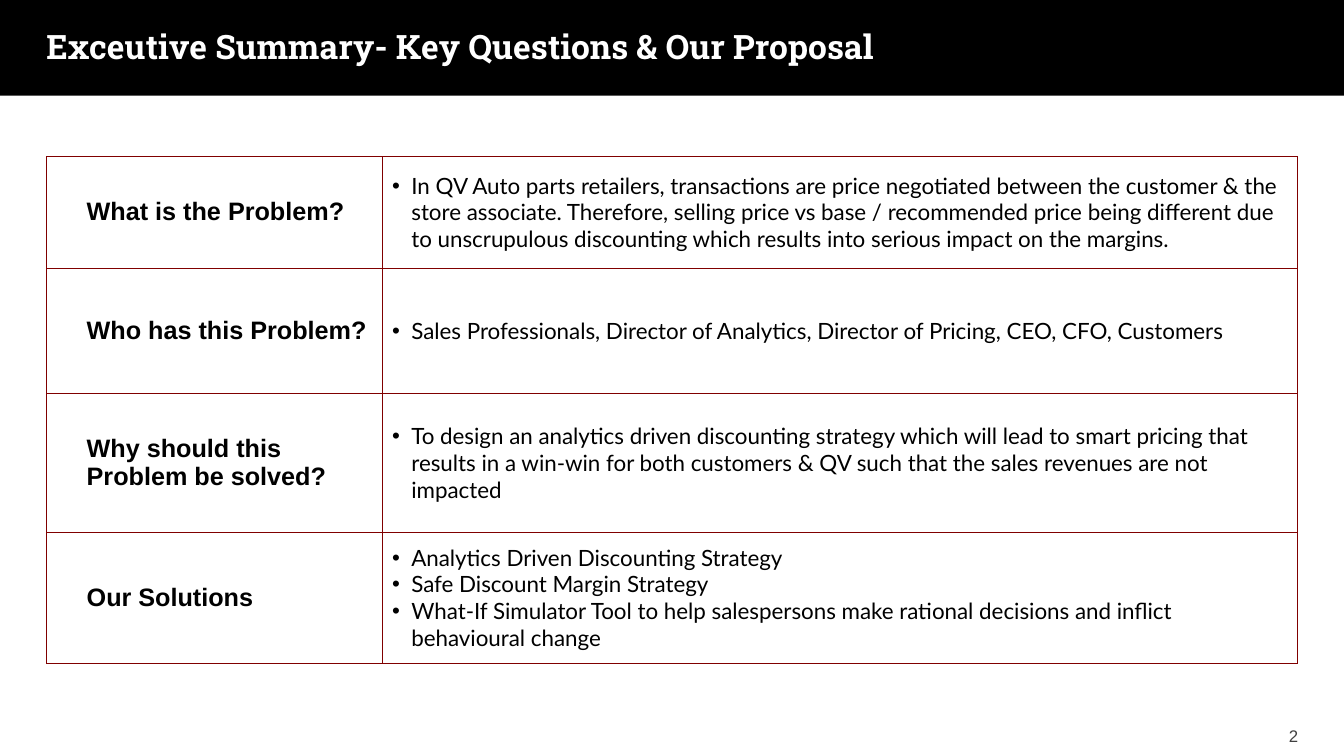
from pptx import Presentation
from pptx import util as u
from pptx.dml.color import RGBColor
from pptx.enum import shapes, text
from pptx.oxml import ns
from lxml import etree

ROWS = [
    (1.11, "What is the Problem?", [
        "In QV Auto parts retailers, transactions are price negotiated between the customer & the "
        "store associate. Therefore, selling price vs base / recommended price being different due "
        "to unscrupulous discounting which results into serious impact on the margins."]),
    (1.24, "Who has this Problem?", [
        "Sales Professionals, Director of Analytics, Director of Pricing, CEO, CFO, Customers"]),
    (1.38, "Why should this Problem be solved?", [
        "To design an analytics driven discounting strategy which will lead to smart pricing that "
        "results in a win-win for both customers & QV such that the sales revenues are not impacted"]),
    (1.3, "Our Solutions", [
        "Analytics Driven Discounting Strategy",
        "Safe Discount Margin Strategy",
        "What-If Simulator Tool to help salespersons make rational decisions and inflict "
        "behavioural change"]),
]


def color(value):
    """Turn a hex string into a colour."""
    return RGBColor.from_string(value)


def child(parent, tag, **attributes):
    """Append a drawing element to its parent."""
    return etree.SubElement(parent, ns.qn(tag), attributes)


def write(para, words, font="Arial", size=18, ink="000000", bold=False,
          align=text.PP_ALIGN.LEFT, indent=0, hanging=0, bullet=None):
    """Write words into a paragraph with the given format."""
    para.alignment = align
    properties = para._p.get_or_add_pPr()
    properties.set("marL", str(u.Inches(indent)))
    properties.set("indent", str(-u.Inches(hanging)))
    if bullet:
        child(properties, "a:buFont", typeface="Arial")
        child(properties, "a:buChar", char=bullet)
    else:
        child(properties, "a:buNone")
    span = para.add_run()
    span.text = words
    span.font.name = font
    span.font.size = u.Pt(size)
    span.font.bold = bold
    span.font.color.rgb = color(ink)


class SummarySlide:
    """Hold the style and the current slide."""

    black, white, rule, muted = "000000", "FFFFFF", "800000", "404040"
    heading, body = "Roboto Slab", "Lato"

    def __init__(self, deck):
        """Add a blank slide with a white background."""
        self.page = deck.slides.add_slide(deck.slide_layouts[6])
        self.page.background.fill.solid()
        self.page.background.fill.fore_color.rgb = color(self.white)

    def title_bar(self, words, left, top, width, height):
        """Draw the dark bar that carries the title."""
        bar = self.page.shapes.add_shape(
            shapes.MSO_SHAPE.RECTANGLE, *map(u.Inches, (left, top, width, height)))
        bar.shadow.inherit = False
        bar.fill.solid()
        bar.fill.fore_color.rgb = color(self.black)
        bar.line.fill.background()
        frame = bar.text_frame
        frame.word_wrap = True
        frame.vertical_anchor = text.MSO_ANCHOR.MIDDLE
        frame.margin_left = frame.margin_right = frame.margin_top = frame.margin_bottom = 0
        write(frame.paragraphs[0], words, font=self.heading, size=24,
              ink=self.white, bold=True, indent=0.5)

    def style_cell(self, cell):
        """Give a cell its borders, margins and anchor."""
        properties = cell._tc.get_or_add_tcPr()
        for side in ("a:lnL", "a:lnR", "a:lnT", "a:lnB"):
            border = child(properties, side, w=str(u.Pt(0.25)))
            child(child(border, "a:solidFill"), "a:srgbClr", val=self.rule)
        cell.fill.background()
        cell.vertical_anchor = text.MSO_ANCHOR.MIDDLE
        cell.margin_left = cell.margin_right = u.Inches(0.1)
        cell.margin_top = cell.margin_bottom = u.Inches(0.04)

    def question_table(self, rows, left, top, widths):
        """Draw the table of questions and answers."""
        height = sum(row[0] for row in rows)
        table = self.page.shapes.add_table(
            len(rows), len(widths),
            *map(u.Inches, (left, top, sum(widths), height))).table
        table.first_row = table.horz_banding = False
        for column, width in zip(table.columns, widths):
            column.width = u.Inches(width)
        for index, (row_height, question, answers) in enumerate(rows):
            table.rows[index].height = u.Inches(row_height)
            label, detail = table.cell(index, 0), table.cell(index, 1)
            self.style_cell(label)
            self.style_cell(detail)
            write(label.text_frame.paragraphs[0], question, bold=True, indent=0.3)
            frame = detail.text_frame
            for position, answer in enumerate(answers):
                para = frame.add_paragraph() if position else frame.paragraphs[0]
                write(para, answer, font=self.body, size=16,
                      indent=0.19, hanging=0.19, bullet="•")

    def page_number(self, words, left, top, width, height):
        """Place the slide number."""
        box = self.page.shapes.add_textbox(*map(u.Inches, (left, top, width, height)))
        box.text_frame.word_wrap = True
        box.text_frame.vertical_anchor = text.MSO_ANCHOR.MIDDLE
        write(box.text_frame.paragraphs[0], words, size=12, ink=self.muted,
              align=text.PP_ALIGN.CENTER)


def main():
    """Build and save the deck."""
    deck = Presentation()
    deck.slide_width, deck.slide_height = u.Inches(13.33), u.Inches(7.5)
    summary = SummarySlide(deck)
    summary.title_bar("Exceutive Summary- Key Questions & Our Proposal", -0.04, -0.04, 13.4, 0.99)
    summary.question_table(ROWS, 0.46, 1.55, (3.33, 9.08))
    summary.page_number("2", 12.33, 7.1, 1, 0.4)
    deck.save("out.pptx")


if __name__ == "__main__":
    main()
